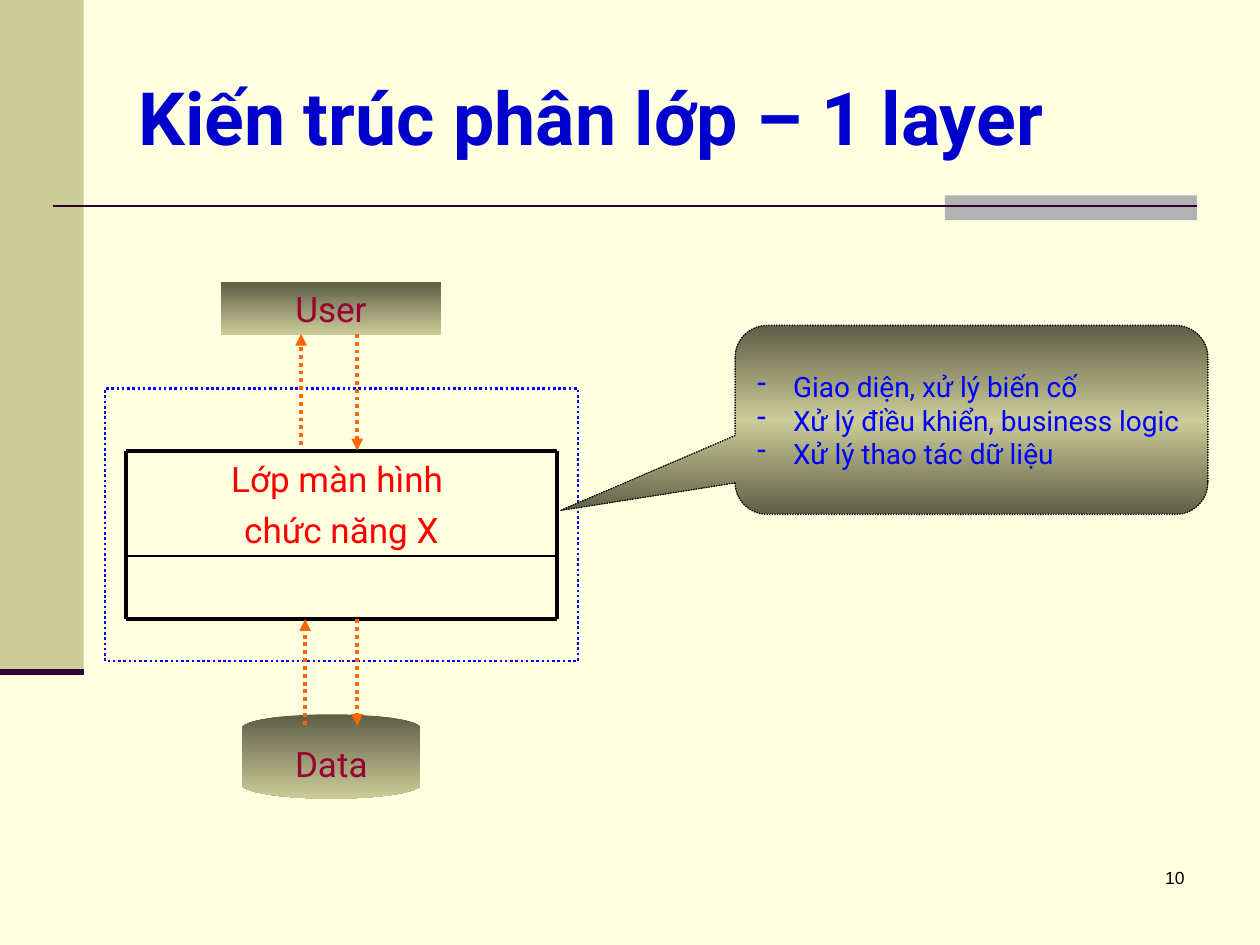
import pptx
import pptx.util
import pptx.dml.color
import pptx.enum.dml
import pptx.enum.shapes
import pptx.enum.text
import pptx.oxml
import pptx.oxml.ns

Cm, Pt = pptx.util.Cm, pptx.util.Pt
RGB = pptx.dml.color.RGBColor
SHAPE = pptx.enum.shapes.MSO_SHAPE
ALIGN = pptx.enum.text.PP_ALIGN
ANCHOR = pptx.enum.text.MSO_ANCHOR
DOT = pptx.enum.dml.MSO_LINE.ROUND_DOT

CREAM, KHAKI, OLIVE = RGB(255, 255, 225), RGB(204, 204, 153), RGB(94, 94, 70)
GREY, PLUM, BLACK = RGB(178, 178, 178), RGB(51, 0, 51), RGB(0, 0, 0)
NAVY, BLUE, RED = RGB(0, 0, 204), RGB(0, 0, 255), RGB(255, 0, 0)
WINE, ORANGE = RGB(153, 0, 51), RGB(255, 102, 0)

# Content, lengths in cm
TITLE = "Kiến trúc phân lớp – 1 layer"
PAGE = "10"
LAYER_NAME = ["Lớp màn hình ", "chức năng X"]
DUTIES = ["Giao diện, xử lý biến cố",
          "Xử lý điều khiển, business logic",
          "Xử lý thao tác dữ liệu"]
ENDS = [("User", SHAPE.RECTANGLE, (4.45, 5.69, 4.45, 1.06)),
        ("Data", SHAPE.FLOWCHART_MAGNETIC_DISK, (4.88, 14.4, 3.6, 1.7))]
LEFT, RIGHT, TOP, DIVIDER, BOTTOM = 2.54, 11.23, 9.1, 11.21, 12.48
ARROWS = [(7.2, 6.73, 7.2, 9.08), (6.07, 8.97, 6.07, 6.73),
          (6.15, 14.61, 6.15, 12.48), (7.2, 12.48, 7.2, 14.63)]


def add_shape(kind, box, fill=None):
    sp = s.shapes.add_shape(kind, *map(Cm, box))
    sp.shadow.inherit = False
    sp.line.fill.background()
    if fill is None:
        sp.fill.background()
    else:
        sp.fill.solid()
        sp.fill.fore_color.rgb = fill
    return sp


def add_gradient(sp, *colors):
    """Spread the colours evenly from top to bottom."""
    stops = "".join(
        f'<a:gs pos="{100000 * i // (len(colors) - 1)}"><a:srgbClr val="{c}"/></a:gs>'
        for i, c in enumerate(colors))
    spPr = sp._element.spPr
    old = spPr.find(pptx.oxml.ns.qn("a:noFill"))
    spPr.replace(old, pptx.oxml.parse_xml(
        f'<a:gradFill {pptx.oxml.ns.nsdecls("a")} rotWithShape="1"><a:gsLst>{stops}</a:gsLst>'
        '<a:lin ang="5400000" scaled="0"/></a:gradFill>'))


def add_line(ends, color, width, arrow=False):
    ln = s.shapes.add_connector(pptx.enum.shapes.MSO_CONNECTOR.STRAIGHT, *map(Cm, ends))
    ln.line.color.rgb = color
    ln.line.width = Pt(width)
    spPr = ln._element.spPr
    if arrow:
        ln.line.dash_style = DOT
        tail = pptx.oxml.ns.qn("a:tailEnd")
        ln.line._get_or_add_ln().append(
            ln._element.makeelement(tail, {"type": "triangle"}))
    spPr.append(spPr.makeelement(pptx.oxml.ns.qn("a:effectLst"), {}))


def set_text(sp, lines, size, color, font="Roboto", align=ALIGN.CENTER,
             anchor=ANCHOR.MIDDLE, wrap=True, before=0, bold=False):
    tf = sp.text_frame
    tf.text = "\n".join(lines)
    tf.word_wrap = wrap
    tf.vertical_anchor = anchor
    tf.auto_size = pptx.enum.text.MSO_AUTO_SIZE.NONE
    for p in tf.paragraphs:
        p.alignment = align
        p.space_before = Pt(before)
        for r in p.runs:
            r.font.name, r.font.size, r.font.bold = font, Pt(size), bold
            r.font.color.rgb = color
    return tf


prs = pptx.Presentation()
prs.slide_width, prs.slide_height = Cm(25.4), Cm(19.05)
s = prs.slides.add_slide(prs.slide_layouts[5])
s.background.fill.solid()
s.background.fill.fore_color.rgb = CREAM

# Side band and title rule
add_shape(SHAPE.RECTANGLE, (0, 0, 1.69, 13.55), KHAKI)
add_shape(SHAPE.RECTANGLE, (19.05, 3.94, 6.4 - 1.32, 0.5), GREY)
add_line((1.06, 4.15, 24.13, 4.15), PLUM, 1.5)
add_line((0, 13.55, 1.69, 13.55), PLUM, 3.5)

# Title and page number
title = s.shapes.title
title.left, title.top, title.width, title.height = map(Cm, (2.54, 0.76, 21.59, 3.18))
set_text(title, [TITLE], 42, NAVY, align=ALIGN.LEFT, bold=True)
page = s.shapes.add_textbox(*map(Cm, (18.84, 17.35, 5.29, 1.27)))
set_text(page, [PAGE], 10, BLACK, "Arial", ALIGN.RIGHT, ANCHOR.TOP)

# User and data
for name, kind, box in ENDS:
    sp = add_shape(kind, box)
    add_gradient(sp, OLIVE, KHAKI)
    set_text(sp, [name], 20, WINE, wrap=False)

# Layer box inside its dotted frame
frame = add_shape(SHAPE.RECTANGLE, (2.12, 7.83, 9.53, 5.5))
frame.line.color.rgb = BLUE
frame.line.width = Pt(1.5)
frame.line.dash_style = DOT
label = s.shapes.add_textbox(*map(Cm, (LEFT, TOP, RIGHT - LEFT, DIVIDER - TOP)))
set_text(label, LAYER_NAME, 20, RED, anchor=ANCHOR.TOP, before=5)
for y, width in ((TOP, 2.25), (DIVIDER, 1), (BOTTOM, 2.25)):
    add_line((LEFT, y, RIGHT, y), BLACK, width)
for x in (LEFT, RIGHT):
    add_line((x, TOP, x, BOTTOM), BLACK, 2.25)

# Arrows
for ends in ARROWS:
    add_line(ends, ORANGE, 2.25, arrow=True)

# Callout with the duties of the layer
callout = add_shape(SHAPE.ROUNDED_RECTANGULAR_CALLOUT, (14.82, 6.56, 9.53, 3.81))
for i, value in enumerate((-0.87, 0.48, 0.17)):
    callout.adjustments[i] = value
add_gradient(callout, OLIVE, KHAKI, OLIVE)
callout.line.color.rgb = BLACK
callout.line.width = Pt(0.75)
callout.line.dash_style = DOT
tf = set_text(callout, DUTIES, 16, BLUE, align=ALIGN.LEFT)
for p in tf.paragraphs:
    pPr = p._p.get_or_add_pPr()
    pPr.set("marL", str(Cm(0.73)))
    pPr.set("indent", str(-Cm(0.73)))
    pPr.append(pPr.makeelement(pptx.oxml.ns.qn("a:buChar"), {"char": "-"}))

prs.save("out.pptx")
